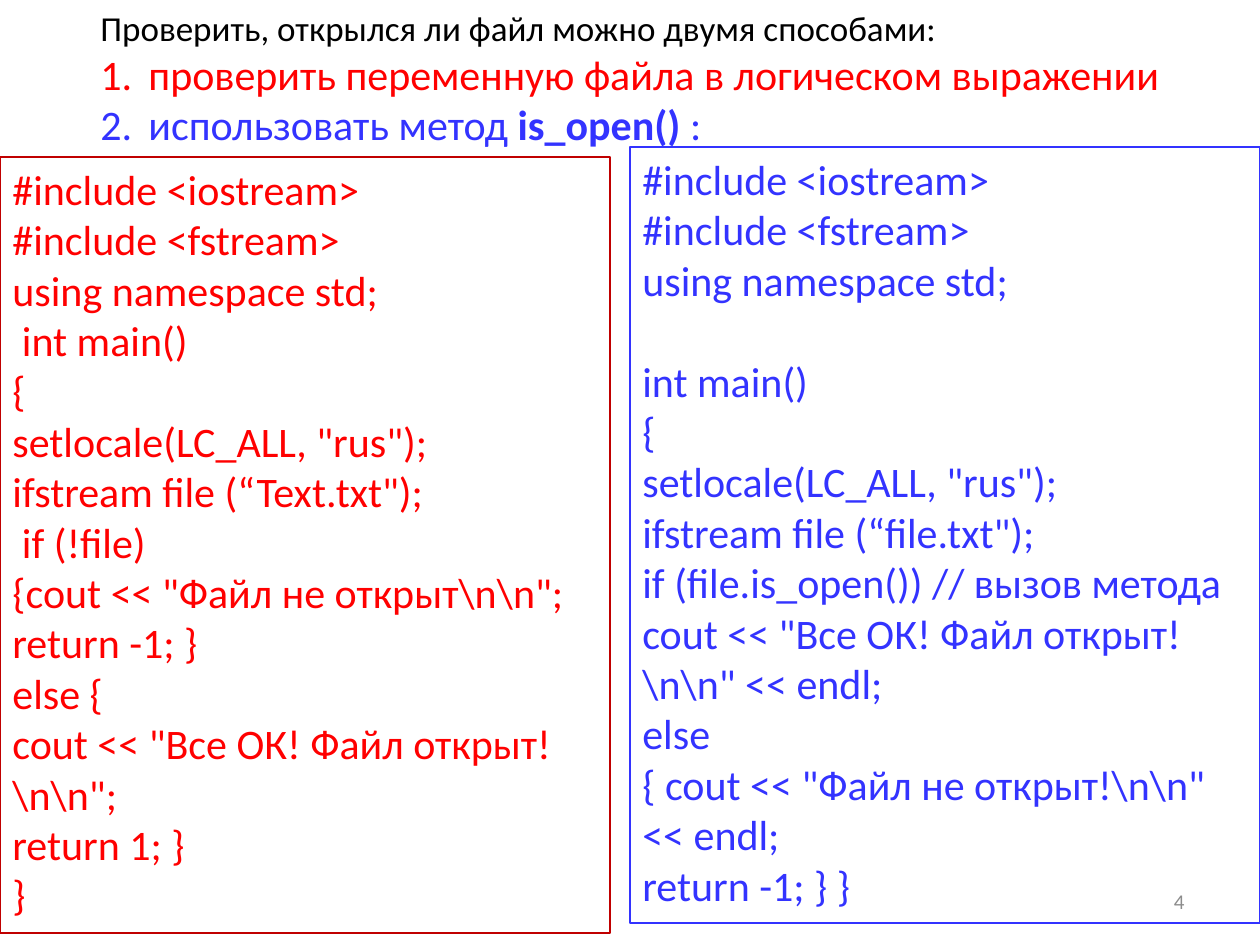
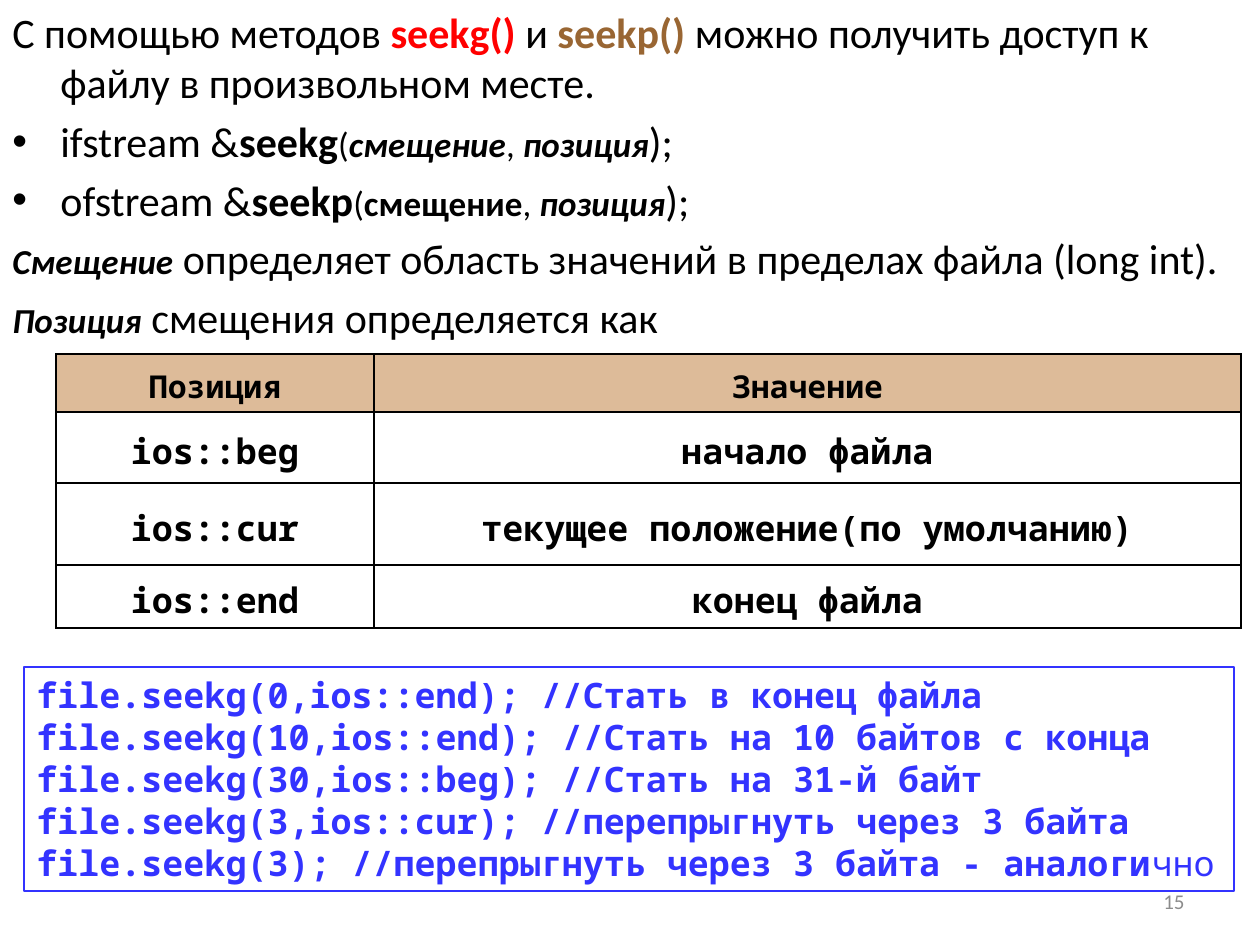
from lxml import etree
from pptx import Presentation
from pptx.dml.color import RGBColor
from pptx.enum.shapes import MSO_SHAPE
from pptx.enum.text import MSO_ANCHOR, MSO_AUTO_SIZE, PP_ALIGN
from pptx.oxml.ns import qn
from pptx.util import Emu, Pt

RECTANGLE = MSO_SHAPE.RECTANGLE
TOP, MIDDLE = MSO_ANCHOR.TOP, MSO_ANCHOR.MIDDLE
LEFT, CENTER, RIGHT = PP_ALIGN.LEFT, PP_ALIGN.CENTER, PP_ALIGN.RIGHT
FIT_SHAPE = MSO_AUTO_SIZE.SHAPE_TO_FIT_TEXT

# Shared style
SANS, MONO = "Calibri", "Noto Sans Mono"
BLACK, RED, DARK_RED, BLUE = "000000", "FF0000", "C00000", "3333FF"
BROWN, TAN, GREY = "996633", "DDBB99", "8C8C8C"
HANGING = 48
NBSP = "\u00a0"


def px(pixels):
    return Emu(round(pixels * 914400 / 126))


def color(value):
    return RGBColor.from_string(value)


class Page:
    """The deck's style together with the slide being built."""

    def __init__(self, deck):
        self.slide = deck.slides.add_slide(deck.slide_layouts[6])

    def spans(self, para, spans, size=24, hue=BLACK, font=SANS):
        """Add runs: plain strings or (text, overrides) pairs."""
        for item in spans:
            text, look = (item, {}) if isinstance(item, str) else item
            span = para.add_run()
            span.text = text
            span.font.name = look.get("font", font)
            span.font.size = Pt(look.get("size", size))
            span.font.color.rgb = color(look.get("hue", hue))
            span.font.bold = look.get("bold", False)
            span.font.italic = look.get("italic", False)

    def paragraphs(self, frame, paragraphs, align=LEFT, before=0, **style):
        """Fill a text frame, one list of spans for each paragraph."""
        frame.word_wrap = True
        for index, spans in enumerate(paragraphs):
            para = frame.add_paragraph() if index else frame.paragraphs[0]
            para.alignment = align
            para.space_before = Pt(before)
            self.spans(para, spans, **style)
        return frame.paragraphs

    def text(self, left, top, width, height, paragraphs, anchor=TOP, **style):
        box = self.slide.shapes.add_textbox(*map(px, (left, top, width, height)))
        box.text_frame.vertical_anchor = anchor
        return self.paragraphs(box.text_frame, paragraphs, **style)

    def hang(self, para, marker=None):
        """Hanging indent with an optional bullet or automatic number."""
        props = para._p.get_or_add_pPr()
        props.set("marL", str(px(HANGING)))
        props.set("indent", str(-px(HANGING)))
        if marker == "number":
            etree.SubElement(props, qn("a:buAutoNum"), type="arabicPeriod")
        elif marker:
            etree.SubElement(props, qn("a:buFont"), typeface="Arial")
            etree.SubElement(props, qn("a:buChar"), char=marker)

    def code(self, left, top, width, height, lines, outline, **style):
        box = self.slide.shapes.add_shape(
            RECTANGLE, *map(px, (left, top, width, height)))
        box.shadow.inherit = False
        box.fill.background()
        box.line.color.rgb = color(outline)
        box.line.width = Pt(0.75)
        box.text_frame.vertical_anchor = TOP
        paras = self.paragraphs(box.text_frame, lines, **style)
        box.text_frame.auto_size = FIT_SHAPE
        return paras

    def border(self, cell):
        props = cell._tc.get_or_add_tcPr()
        for position, side in enumerate(("lnL", "lnR", "lnT", "lnB")):
            line = etree.Element(qn("a:" + side), w=str(Pt(1)))
            fill = etree.SubElement(line, qn("a:solidFill"))
            etree.SubElement(fill, qn("a:srgbClr"), val=BLACK)
            props.insert(position, line)

    def table(self, left, top, widths, heights, rows):
        table = self.slide.shapes.add_table(
            len(rows), len(widths),
            *map(px, (left, top, sum(widths), sum(heights)))).table
        table.first_row = table.horz_banding = False
        for column, width in zip(table.columns, widths):
            column.width = px(width)
        for index, (row, height) in enumerate(zip(rows, heights)):
            table.rows[index].height = px(height)
            for cell, label in zip(table.rows[index].cells, row):
                cell.margin_left = cell.margin_right = px(3)
                cell.margin_top = cell.margin_bottom = px(3)
                cell.vertical_anchor = MIDDLE
                if index:
                    cell.fill.background()
                else:
                    cell.fill.solid()
                    cell.fill.fore_color.rgb = color(TAN)
                self.border(cell)
                para, = self.paragraphs(
                    cell.text_frame, [[(label, {"bold": True})]], align=CENTER,
                    size=20 if index else 18, font=MONO)
                para.line_spacing = 1.15
                para.space_after = Pt(10)

    def number(self, value):
        self.text(903, 876, 294, 50, [[str(value)]], anchor=MIDDLE,
                  align=RIGHT, size=12, hue=GREY)


deck = Presentation()
deck.slide_width, deck.slide_height = px(1260), px(945)

STRONG = {"bold": True}
TERM = {"bold": True, "italic": True, "size": 20}
SMALL = {"size": 20}

# Slide 1: two ways to check that a file is open
page = Page(deck)
page.number(4)
intro = page.text(88, 0, 1138, 157, [
    [("Проверить, открылся ли файл можно двумя способами:", SMALL)],
    [(f"проверить переменную файла в{NBSP}логическом выражении", {"hue": RED})],
    [("использовать метод ", {"hue": BLUE}),
     ("is_open()" + NBSP, {"hue": BLUE, "bold": True}),
     (":", {"hue": BLUE})],
])
for para in intro[1:]:
    page.hang(para, "number")

variable_check = [
    "#include <iostream>",
    "#include <fstream>",
    "using namespace std;",
    NBSP + "int main()",
    "{",
    'setlocale(LC_ALL, "rus");',
    'ifstream file (“Text.txt");',
    NBSP + "if (!file)",
    r'{cout << "Файл не открыт\n\n";',
    "return -1; }",
    "else {",
    r'cout << "Все ОК! Файл открыт!\n\n";',
    "return 1; }",
    "}",
]
method_check = [
    "#include <iostream>",
    "#include <fstream>",
    "using namespace std;",
    "int main()",
    "{",
    'setlocale(LC_ALL, "rus");',
    'ifstream file (“file.txt");',
    "if (file.is_open()) // вызов метода",
    r'cout << "Все ОК! Файл открыт!\n\n" << endl;',
    "else",
    r'{ cout << "Файл не открыт!\n\n" << endl;',
    "return -1; } }",
]
page.code(0, 157, 610, 776, [[line] for line in variable_check],
          DARK_RED, hue=RED)
method_lines = page.code(630, 147, 630, 776, [[line] for line in method_check],
                         BLUE, hue=BLUE)
method_lines[3].space_before = Pt(29)

# Slide 2: random access with seekg and seekp
page = Page(deck)
body = page.text(0, 0, 1260, 374, [
    ["С помощью методов" + NBSP,
     ("seekg()" + NBSP, {"hue": RED, "bold": True}),
     "и" + NBSP,
     ("seekp()" + NBSP, {"hue": BROWN, "bold": True}),
     "можно получить доступ к файлу в произвольном месте."],
    ["ifstream &", ("seekg", STRONG), ("(", SMALL), ("смещение", TERM),
     (", ", SMALL), ("позиция", TERM), ");"],
    ["ofstream &", ("seekp", STRONG), ("(", SMALL),
     ("смещение", {"bold": True, "size": 20}),
     (", ", SMALL), ("позиция", TERM), ");"],
    [("Смещение", TERM),
     NBSP + "определяет область значений в пределах файла (long int)."],
    [("Позиция", TERM), NBSP + "смещения определяется как"],
], before=4.8)
for para, marker in zip(body, (None, "•", "•", None, None)):
    page.hang(para, marker)
page.number(15)

page.table(56, 354, (318, 867), (58, 71, 82, 63), [
    ("Позиция", "Значение"),
    ("ios::beg", "начало файла"),
    ("ios::cur", "текущее положение(по умолчанию)"),
    ("ios::end", "конец файла"),
])

seek_calls = [
    "file.seekg(0,ios::end); //Стать в конец файла",
    "file.seekg(10,ios::end); //Стать на 10 байтов с конца",
    "file.seekg(30,ios::beg); //Стать на 31-й байт",
    "file.seekg(3,ios::cur); //перепрыгнуть через 3 байта",
    "file.seekg(3); //перепрыгнуть через 3 байта - аналоги",
]
seek_lines = [[(line, STRONG)] for line in seek_calls]
seek_lines[-1].append("чно")
page.code(24, 667, 1210, 224, seek_lines, BLUE, size=20, hue=BLUE, font=MONO)

deck.save("out.pptx")
